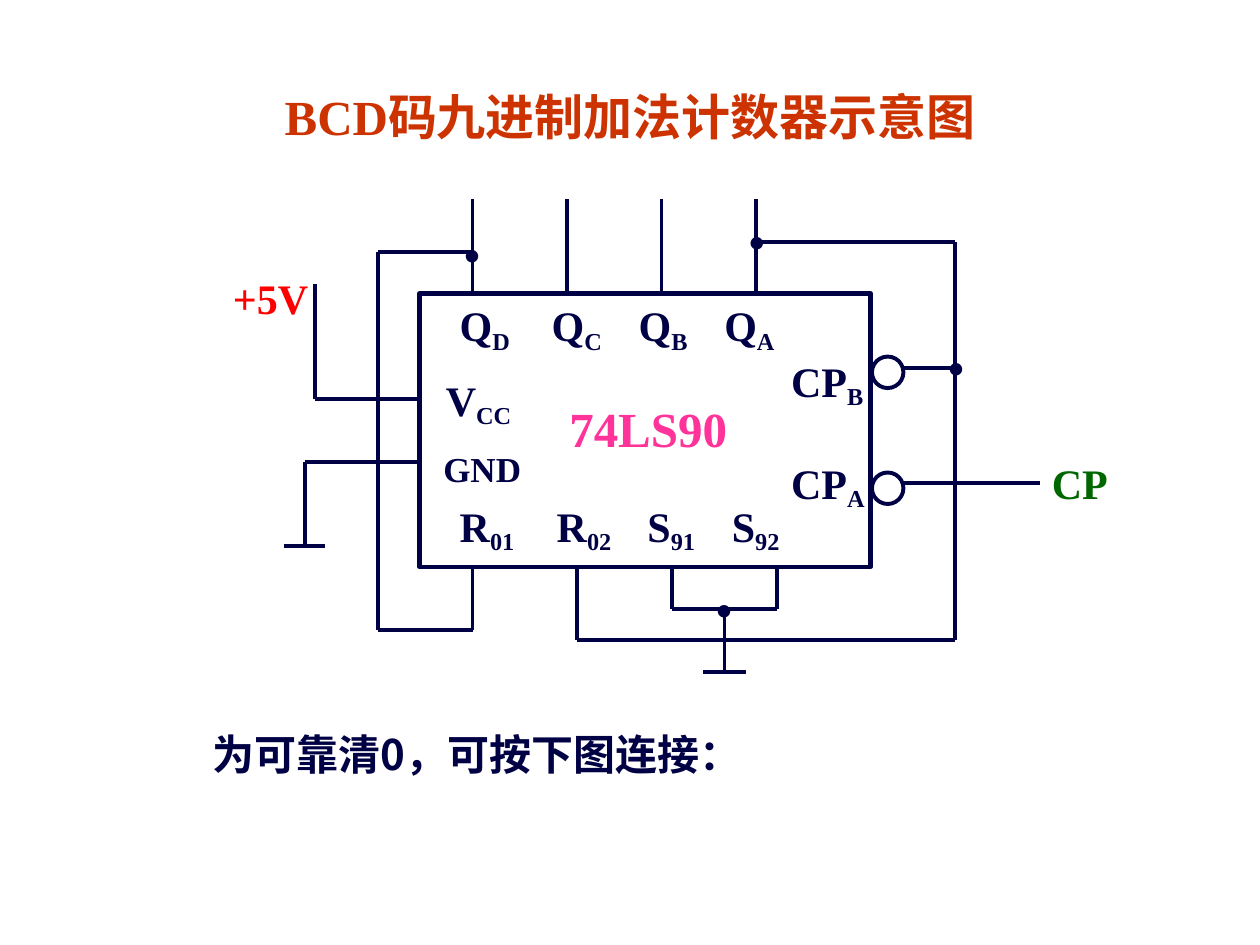
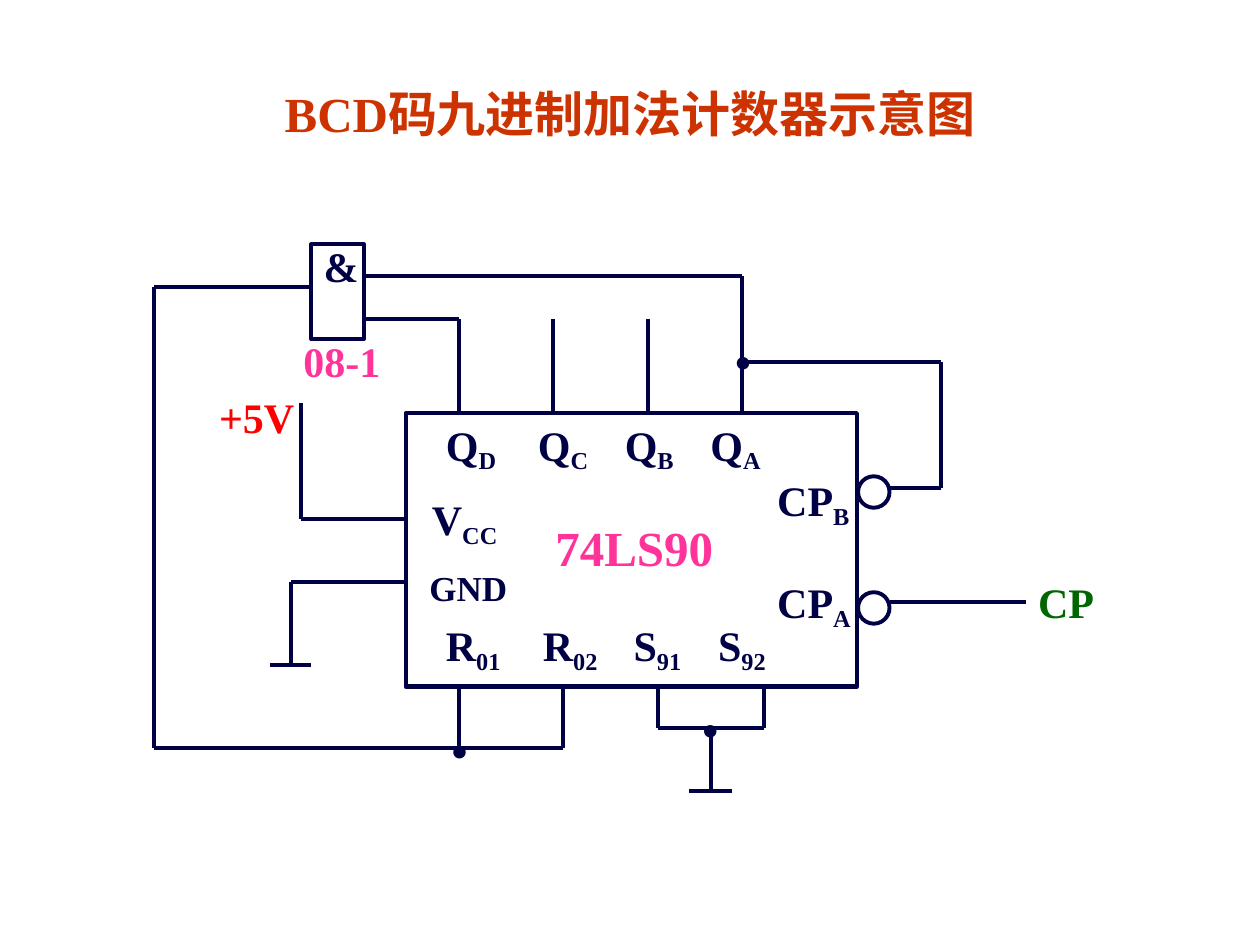
from dataclasses import dataclass
from itertools import pairwise
from typing import Any

from lxml.etree import SubElement
from pptx import Presentation
from pptx.dml.color import RGBColor
from pptx.enum.shapes import MSO_CONNECTOR, MSO_SHAPE
from pptx.enum.text import MSO_ANCHOR, MSO_AUTO_SIZE, PP_ALIGN
from pptx.oxml.ns import qn
from pptx.util import Inches, Pt

INK = {
    "navy": "000044",
    "rust": "CC3300",
    "pink": "FF3399",
    "red": "FF0000",
    "green": "006600",
}
SERIF = "Times New Roman"
HAN = "Noto Sans CJK SC"

Point = tuple[float, float]
Path = list[Point]


@dataclass
class Label:
    text: str
    left: float
    top: float
    wide: float
    high: float = 0.5
    ink: str = "navy"
    size: float = 24
    bold: bool = True
    tabs: tuple[float, ...] = ()


@dataclass
class Block:
    kind: Any
    left: float
    top: float
    wide: float
    high: float
    line: float = 2.25


@dataclass
class Sheet:
    slide: Any
    dx: float = 0
    dy: float = 0

    def spot(self, x: float, y: float) -> tuple[int, int]:
        return Inches(x + self.dx), Inches(y + self.dy)


def style(run: Any, ink: str, size: float, bold: bool = True, face: str = SERIF) -> None:
    values = {"name": face, "size": Pt(size), "bold": bold}
    for key, value in values.items():
        setattr(run.font, key, value)
    run.font.color.rgb = RGBColor.from_string(INK[ink])


def set_han(run: Any) -> None:
    SubElement(run._r.get_or_add_rPr(), qn("a:ea")).set("typeface", HAN)


def add_title(slide: Any, top: float) -> None:
    title = slide.shapes.title
    spots = {"left": 0.75, "top": top, "width": 8.5, "height": 0.66}
    for key, value in spots.items():
        setattr(title, key, Inches(value))
    frame = title.text_frame
    frame.auto_size = MSO_AUTO_SIZE.NONE
    frame.vertical_anchor = MSO_ANCHOR.MIDDLE
    para = frame.paragraphs[0]
    para.alignment = PP_ALIGN.CENTER
    para.line_spacing = 1.2
    for text, face in (("BCD", SERIF), ("码九进制加法计数器示意图", "Arial")):
        run = para.add_run()
        run.text = text
        style(run, "rust", 28, face=face)
        set_han(run)


def add_label(sheet: Sheet, label: Label) -> None:
    box = sheet.slide.shapes.add_textbox(
        *sheet.spot(label.left, label.top), Inches(label.wide), Inches(label.high)
    )
    frame = box.text_frame
    frame.word_wrap = True
    para = frame.paragraphs[0]
    if label.tabs:
        stops = SubElement(para._p.get_or_add_pPr(), qn("a:tabLst"))
        for place in label.tabs:
            stop = SubElement(stops, qn("a:tab"))
            stop.set("pos", str(Inches(place)))
            stop.set("algn", "l")
    for index, text in enumerate(label.text.split("|")):
        run = para.add_run()
        run.text = text
        style(run, label.ink, label.size, label.bold)
        if index % 2:
            run._r.get_or_add_rPr().set("baseline", "-20000")


def add_dot(sheet: Sheet, left: float, top: float) -> None:
    add_label(sheet, Label("·", left, top, 0.48, 1.1, size=60, bold=False))


def add_block(sheet: Sheet, block: Block) -> None:
    shape = sheet.slide.shapes.add_shape(
        block.kind, *sheet.spot(block.left, block.top), Inches(block.wide), Inches(block.high)
    )
    shape.shadow.inherit = False
    shape.fill.background()
    shape.line.color.rgb = RGBColor.from_string(INK["navy"])
    shape.line.width = Pt(block.line)


def add_wire(sheet: Sheet, path: Path) -> None:
    for start, end in pairwise(path):
        wire = sheet.slide.shapes.add_connector(
            MSO_CONNECTOR.STRAIGHT, *sheet.spot(*start), *sheet.spot(*end)
        )
        wire.line.color.rgb = RGBColor.from_string(INK["navy"])
        wire.line.width = Pt(2.25)
        SubElement(wire._element.spPr, qn("a:effectLst"))


def add_note(slide: Any) -> None:
    box = slide.shapes.add_textbox(Inches(1.59), Inches(5.73), Inches(4.1), Inches(0.9))
    box.text_frame.word_wrap = True
    para = box.text_frame.paragraphs[0]
    para.line_spacing = Pt(28.8)
    run = para.add_run()
    run.text = "为可靠清0，可按下图连接："
    style(run, "navy", 24, face=HAN)
    set_han(run)


BLOCKS = [
    Block(MSO_SHAPE.RECTANGLE, 3.33, 2.33, 3.58, 2.17, 2.5),
    Block(MSO_SHAPE.OVAL, 6.92, 2.83, 0.25, 0.25),
    Block(MSO_SHAPE.OVAL, 6.92, 3.75, 0.25, 0.25),
]
LABELS = [
    Label("Q|D\t|Q|C\t|Q|B\t|Q|A", 3.55, 2.33, 2.85, 0.54, tabs=(0.73, 1.42, 2.1)),
    Label("R|01\t|R|02\t|S|91\t|S|92", 3.55, 3.92, 2.85, 0.54, tabs=(0.77, 1.49, 2.16)),
    Label("CP|B", 6.18, 2.77, 0.85, 0.54),
    Label("CP|A", 6.18, 3.58, 0.85, 0.54),
    Label("CP", 8.25, 3.58, 0.72, ink="green"),
    Label("74LS90", 4.42, 3.11, 1.52, 0.57, "pink", 28),
    Label("V|CC", 3.44, 2.92, 0.8, 0.54),
    Label("GND", 3.42, 3.5, 0.9, 0.44, size=20),
    Label("+5V", 1.75, 2.11, 0.87, ink="red"),
]
WIRES: list[Path] = [
    [(7.17, 3.83), (8.25, 3.83)],
    [(6, 1.92), (7.58, 1.92), (7.58, 2.92), (7.17, 2.92)],
    [(5.33, 4.5), (5.33, 4.83), (6.17, 4.83), (6.17, 4.5)],
    [(5.75, 4.83), (5.75, 5.33)],
    [(5.58, 5.33), (5.92, 5.33)],
    [(3.33, 3.17), (2.5, 3.17), (2.5, 2.25)],
    [(3.33, 3.67), (2.42, 3.67), (2.42, 4.33)],
    [(2.25, 4.33), (2.58, 4.33)],
]
DOTS: Path = [(5.77, 1.33), (5.51, 4.25)]
RESET: list[Path] = [
    [(3.75, 2), (3, 2), (3, 5), (3.75, 5), (3.75, 4.5)],
    [(7.58, 2.92), (7.58, 5.08), (4.58, 5.08), (4.58, 4.5)],
]
GATE: list[Path] = [
    [(3.64, 2.53), (2.89, 2.53)],
    [(5.89, 2.19), (2.89, 2.19)],
    [(2.47, 2.28), (1.22, 2.28), (1.22, 5.94), (4.47, 5.94), (4.47, 5.44)],
    [(3.64, 5.94), (3.64, 5.44)],
]


def draw(sheet: Sheet, blocks: list[Block], wires: list[Path], dots: Path, labels: list[Label]) -> None:
    for block in blocks:
        add_block(sheet, block)
    for path in wires:
        add_wire(sheet, path)
    for dot in dots:
        add_dot(sheet, *dot)
    for label in labels:
        add_label(sheet, label)


def draw_chip(sheet: Sheet, last: float) -> None:
    tops = (1.58, 1.58, 1.58, last)
    pins = [[(3.75 + 0.75 * i, 2.33), (3.75 + 0.75 * i, top)] for i, top in enumerate(tops)]
    draw(sheet, BLOCKS, pins + WIRES, DOTS, LABELS)


def main() -> None:
    deck = Presentation()
    deck.slide_width, deck.slide_height = Inches(10), Inches(7.5)
    first, second = (deck.slides.add_slide(deck.slide_layouts[5]) for _ in range(2))

    add_title(first, 0.54)
    sheet = Sheet(first)
    draw_chip(sheet, 1.58)
    draw(sheet, [], RESET, [(3.51, 1.43), (7.35, 2.33)], [])
    add_note(first)

    add_title(second, 0.52)
    draw_chip(Sheet(second, -0.11, 0.95), 1.24)
    draw(
        Sheet(second),
        [Block(MSO_SHAPE.RECTANGLE, 2.47, 1.94, 0.42, 0.75)],
        GATE,
        [(3.41, 5.37)],
        [Label("&", 2.47, 1.86, 0.55), Label("08-1", 2.31, 2.61, 0.88, ink="pink")],
    )
    deck.save("out.pptx")


if __name__ == "__main__":
    main()
